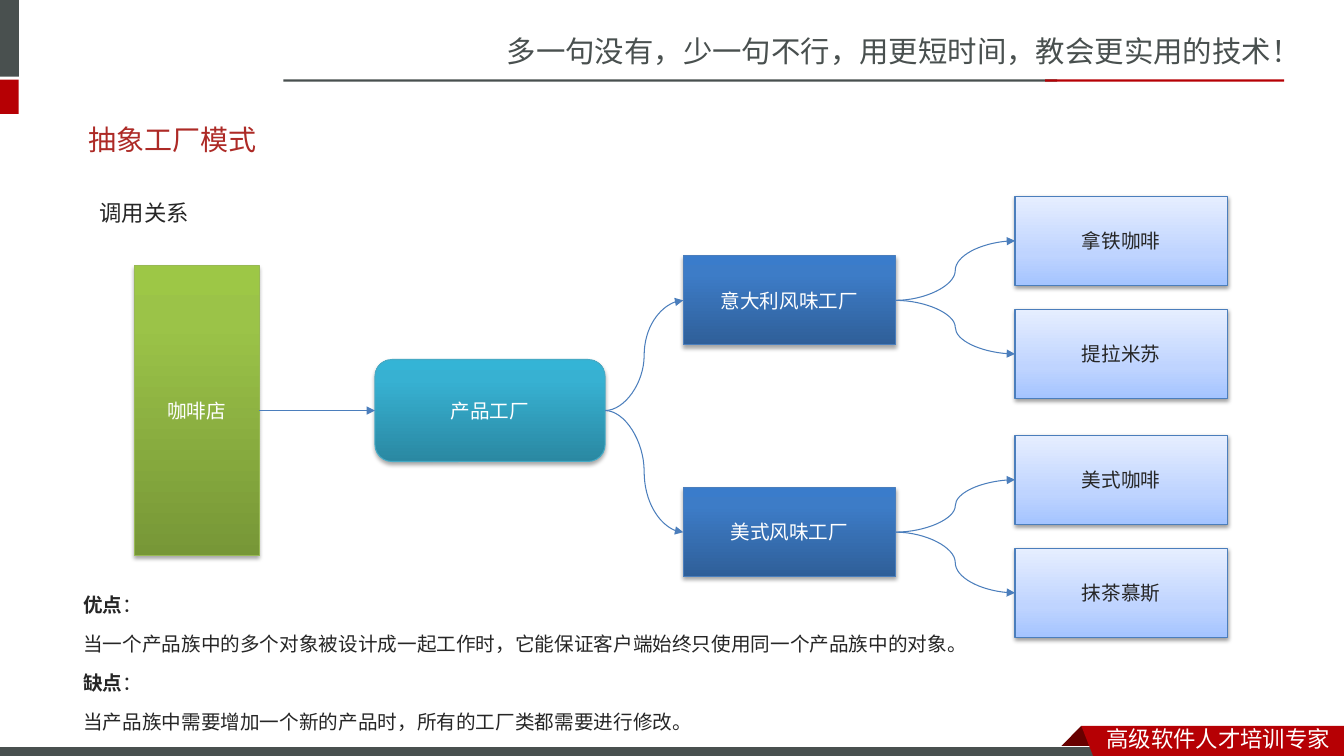
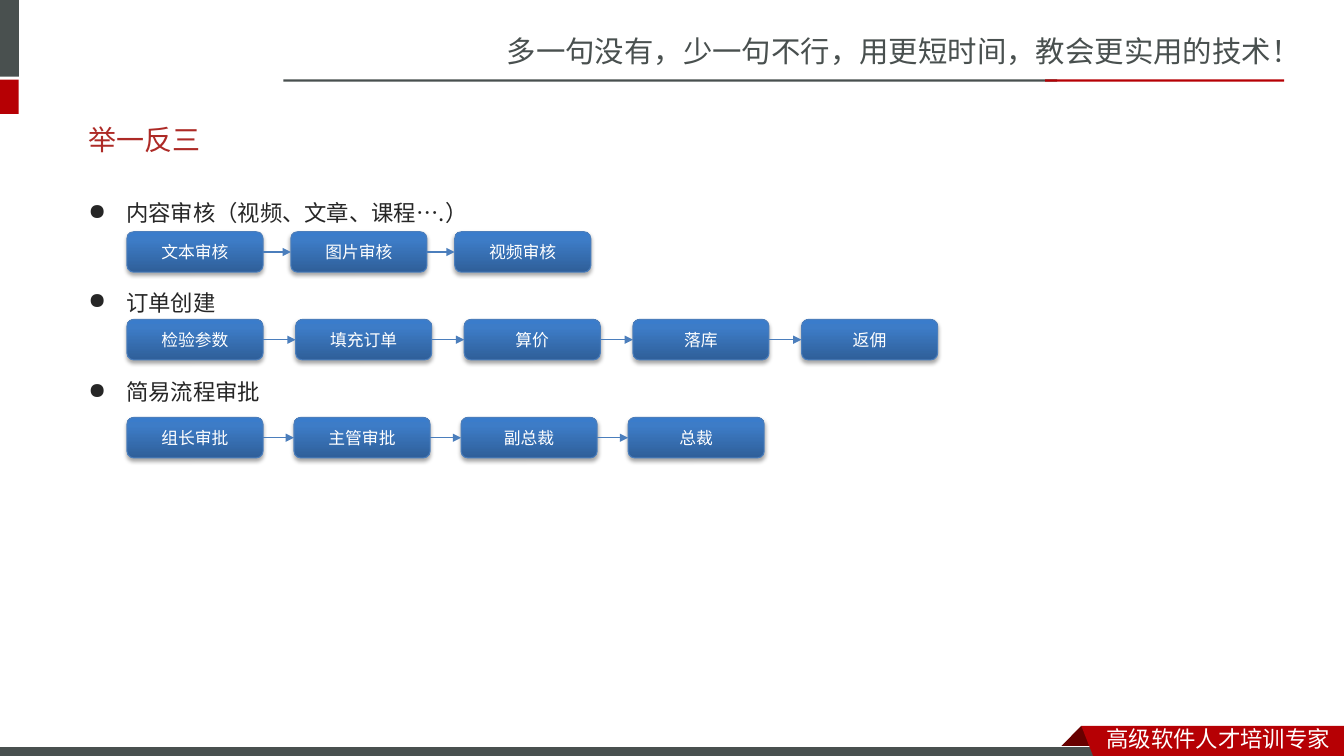
from copy import deepcopy

from lxml.etree import SubElement
from pptx import Presentation
from pptx.dml.color import RGBColor
from pptx.enum.shapes import MSO_CONNECTOR, MSO_SHAPE
from pptx.enum.text import MSO_ANCHOR, PP_ALIGN
from pptx.oxml.ns import qn
from pptx.util import Cm, Pt

# Colours and fonts
GREY, RED, DARK_RED = "49504F", "B60004", "680000"
TITLE_RED, WHITE, INK, LINE_BLUE = "AD2A26", "FFFFFF", "262626", "4B7EBC"
SANS, BODY, TITLE_FONT, BOX_FONT = "Noto Sans CJK SC", "Noto Sans CJK JP", "Roboto", "Calibri"

# Box styles: gradient from bottom to top, outline, text colour, shadow opacity and distance
STOPS = (0, 0.8, 1)
GREEN_BOX = (zip_stops := tuple(zip(STOPS, ("779737", "9BC348", "9DC746"))), "98B955", WHITE, 35, 1.8)
TEAL_BOX = (tuple(zip(STOPS, ("2A88A2", "37B1D2", "34B4D6"))), "46AAC5", WHITE, 35, 1.8)
BLUE_BOX = (tuple(zip(STOPS, ("2F5F99", "3D7CC7", "3A7CCB"))), LINE_BLUE, WHITE, 35, 1.8)
PALE_BOX = (((0, "A4C4FF"), (0.35, "BFD4FF"), (1, "E6EEFF")), LINE_BLUE, INK, 38, 1.6)

# Content: name, top, top of the first product, products
FLAVOURS = (
    ("意大利风味工厂", 6.45, 4.95, ("拿铁咖啡", "提拉米苏")),
    ("美式风味工厂", 12.29, 10.97, ("美式咖啡", "抹茶慕斯")),
)
NOTES = (
    ("优点", "："),
    ("", "当一个产品族中的多个对象被设计成一起工作时，它能保证客户端始终只使用同一个产品族中的对象。"),
    ("缺点", "："),
    ("", "当产品族中需要增加一个新的产品时，所有的工厂类都需要进行修改。"),
)
# Heading, top of the boxes, distance between boxes, steps
PROCESSES = (
    ("内容审核（视频、文章、课程….）", 5.84, 4.13, ("文本审核", "图片审核", "视频审核")),
    ("订单创建", 8.05, 4.25, ("检验参数", "填充订单", "算价", "落库", "返佣")),
    ("简易流程审批", 10.52, 4.21, ("组长审批", "主管审批", "副总裁", "总裁")),
)


def color(value):
    return RGBColor.from_string(value)


def lengths(*values):
    return [Cm(value) for value in values]


def style_paragraph(paragraph, size, font, ink):
    paragraph.font.size = Pt(size)
    paragraph.font.name = font
    paragraph.font.color.rgb = color(ink)
    SubElement(paragraph.font._element, qn("a:ea")).set("typeface", font)


def add_text(slide, area, paragraphs, size, font, ink, line=None, gap=0, bullet=None):
    """Each paragraph is a pair: a bold lead (may be empty) and the plain text."""
    frame = slide.shapes.add_textbox(*lengths(*area)).text_frame
    frame.word_wrap = True
    for index, (lead, text) in enumerate(paragraphs):
        paragraph = frame.add_paragraph() if index else frame.paragraphs[0]
        if lead:
            run = paragraph.add_run()
            run.text = lead
            run.font.bold = True
        paragraph.add_run().text = text
        style_paragraph(paragraph, size, font, ink)
        if line:
            paragraph.line_spacing = Pt(line)
        if index and gap:
            paragraph.space_before = Pt(gap)
        if bullet:
            properties = paragraph._p.get_or_add_pPr()
            properties.set("marL", str(Cm(0.95)))
            properties.set("indent", str(-Cm(0.95)))
            mark = properties.makeelement(qn("a:buChar"), {"char": bullet})
            properties.find(qn("a:defRPr")).addprevious(mark)
    return frame


def paint(shape, fill, outline=None):
    shape.shadow.inherit = False
    shape.fill.solid()
    shape.fill.fore_color.rgb = color(fill)
    if outline:
        shape.line.color.rgb = color(outline)
        shape.line.width = Pt(0.75)
    else:
        shape.line.fill.background()


def add_bar(slide, area, fill, outline=None):
    paint(slide.shapes.add_shape(MSO_SHAPE.RECTANGLE, *lengths(*area)), fill, outline)


def add_outline(slide, points, fill):
    corners = [lengths(*point) for point in points]
    builder = slide.shapes.build_freeform(*corners[0])
    builder.add_line_segments(corners[1:], close=True)
    paint(builder.convert_to_shape(), fill)


def add_shadow(shape, opacity, distance):
    shape.shadow.inherit = False
    effects = shape._element.spPr.find(qn("a:effectLst"))
    shadow = SubElement(effects, qn("a:outerShdw"), blurRad=str(Pt(3.1)),
                        dist=str(Pt(distance)), dir="5400000", rotWithShape="0")
    black = SubElement(shadow, qn("a:srgbClr"), val="000000")
    SubElement(black, qn("a:alpha"), val=str(opacity * 1000))


def add_box(slide, area, text, style, kind=MSO_SHAPE.RECTANGLE, size=14, font=BOX_FONT):
    stops, outline, ink, opacity, distance = style
    shape = slide.shapes.add_shape(kind, *lengths(*area))
    shape.fill.gradient()
    shape.fill.gradient_angle = 90
    stop_list = shape._element.spPr.find(".//" + qn("a:gsLst"))
    stop_list.insert(1, deepcopy(stop_list[0]))
    for stop, (position, value) in zip(shape.fill.gradient_stops, stops):
        stop.position = position
        stop.color.rgb = color(value)
    shape.line.color.rgb = color(outline)
    shape.line.width = Pt(0.75)
    add_shadow(shape, opacity, distance)

    frame = shape.text_frame
    frame.word_wrap = True
    frame.vertical_anchor = MSO_ANCHOR.MIDDLE
    paragraph = frame.paragraphs[0]
    paragraph.text = text
    paragraph.alignment = PP_ALIGN.CENTER
    style_paragraph(paragraph, size, font, ink)
    return shape


def add_arrow(slide, source, target, kind=MSO_CONNECTOR.STRAIGHT):
    """Joins the right side of one box to the left side of another."""
    arrow = slide.shapes.add_connector(
        kind, source.left + source.width, source.top + source.height // 2,
        target.left, target.top + target.height // 2)
    arrow.begin_connect(source, 3)
    arrow.end_connect(target, 1)
    arrow.line.color.rgb = color(LINE_BLUE)
    arrow.line.width = Pt(0.75)
    SubElement(arrow.line._get_or_add_ln(), qn("a:tailEnd"), type="triangle")
    SubElement(arrow._element.spPr, qn("a:effectLst"))


def add_slide(presentation, title):
    slide = presentation.slides.add_slide(presentation.slide_layouts[6])
    # Header
    add_text(slide, (12.52, 0.71, 21.35, 1.19),
             [("", "多一句没有，少一句不行，用更短时间，教会更实用的技术！")], 21, SANS, GREY)
    add_bar(slide, (-0.15, 0, 0.63, 1.93), GREY)
    add_bar(slide, (-0.15, 2.01, 0.62, 0.86), RED)
    add_bar(slide, (7.14, 2, 19.5, 0.06), GREY)
    add_bar(slide, (26.34, 2, 6.02, 0.06), RED)
    # Footer ribbon
    add_outline(slide, ((27.25, 18.29), (27.81, 18.85), (27.79, 18.87),
                        (26.72, 18.87), (26.7, 18.85)), DARK_RED)
    add_bar(slide, (-0.03, 18.82, 27.94, 0.3), GREY, WHITE)
    add_outline(slide, ((27.25, 18.29), (33.87, 18.29), (33.87, 19.15), (27.58, 19.13)), RED)
    add_text(slide, (27.64, 18.16, 6.22, 0.94), [("", "高级软件人才培训专家")], 16, SANS, WHITE)
    # Title
    frame = add_text(slide, (1.98, 2.79, 29.72, 1.45), [("", title)], 20, TITLE_FONT, TITLE_RED)
    frame.vertical_anchor = MSO_ANCHOR.MIDDLE
    return slide


def build_factory_slide(presentation):
    slide = add_slide(presentation, "抽象工厂模式")
    add_text(slide, (2.26, 4.52, 20.85, 1.4), [("", "调用关系")], 16, BODY, INK, line=30)
    # Call chain
    shop = add_box(slide, (3.38, 6.7, 3.15, 7.29), "咖啡店", GREEN_BOX)
    factory = add_box(slide, (9.45, 9.06, 5.8, 2.57), "产品工厂", TEAL_BOX,
                      MSO_SHAPE.ROUNDED_RECTANGLE)
    add_arrow(slide, shop, factory)
    for name, top, first_top, products in FLAVOURS:
        flavour = add_box(slide, (17.22, top, 5.35, 2.24), name, BLUE_BOX)
        add_arrow(slide, factory, flavour, MSO_CONNECTOR.CURVE)
        for index, product_name in enumerate(products):
            area = (25.58, first_top + index * 2.85, 5.35, 2.24)
            product = add_box(slide, area, product_name, PALE_BOX)
            add_arrow(slide, flavour, product, MSO_CONNECTOR.CURVE)
    # Advantages and drawbacks
    add_text(slide, (1.85, 14.45, 25.02, 4.6), NOTES, 14, BODY, INK, line=27, gap=1)


def build_process_slide(presentation):
    slide = add_slide(presentation, "举一反三")
    headings = [("", process[0]) for process in PROCESSES]
    add_text(slide, (1.98, 4.52, 29.72, 8.84), headings, 16, BODY, INK,
             line=30, gap=34, bullet="●")
    for _, top, pitch, steps in PROCESSES:
        previous = None
        for index, step in enumerate(steps):
            box = add_box(slide, (3.2, top, 3.43, 1.02), step, BLUE_BOX,
                          MSO_SHAPE.ROUNDED_RECTANGLE, 12, SANS) if not index else add_box(
                slide, (3.2 + index * pitch, top, 3.43, 1.02), step, BLUE_BOX,
                MSO_SHAPE.ROUNDED_RECTANGLE, 12, SANS)
            if previous:
                add_arrow(slide, previous, box)
            previous = box


def main():
    presentation = Presentation()
    presentation.slide_width, presentation.slide_height = lengths(33.87, 19.05)
    build_factory_slide(presentation)
    build_process_slide(presentation)
    presentation.save("out.pptx")


main()
